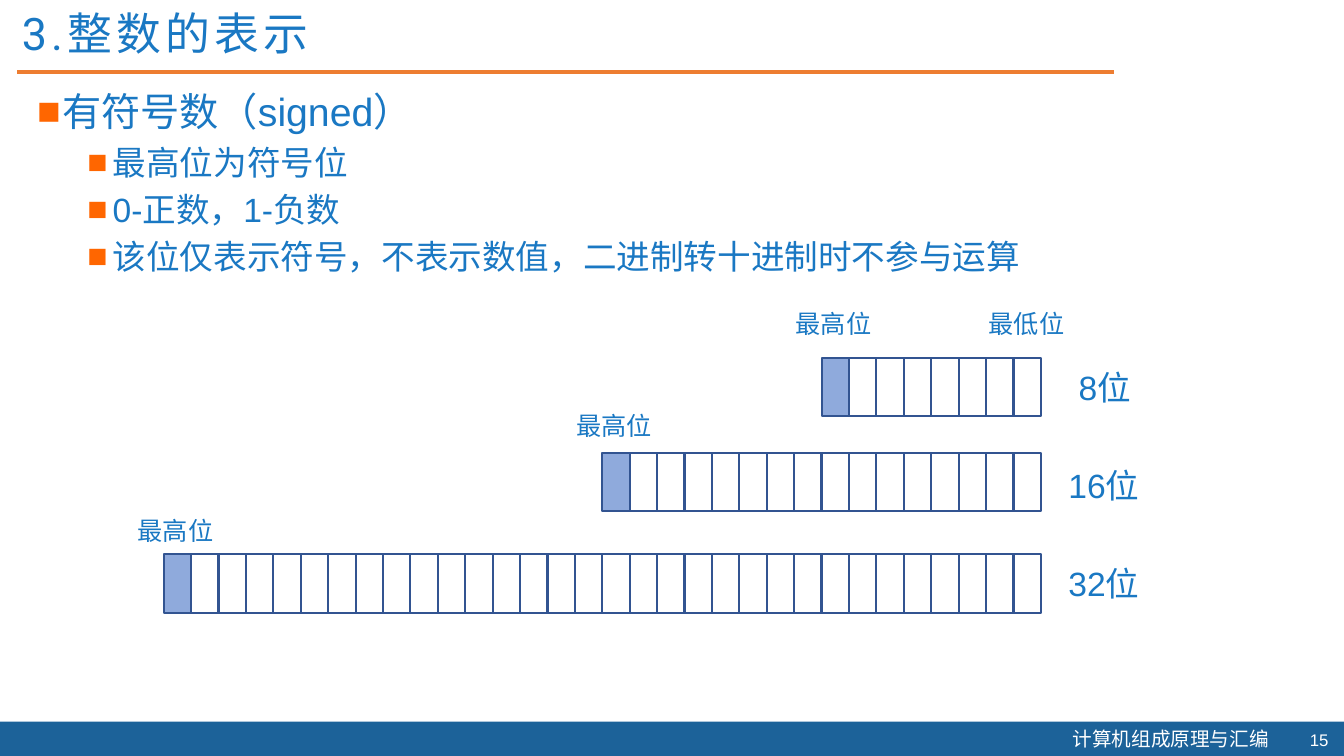
from pptx import Presentation
from pptx.dml.color import RGBColor
from pptx.enum.shapes import MSO_CONNECTOR, MSO_SHAPE
from pptx.enum.text import MSO_ANCHOR, PP_ALIGN
from pptx.oxml.ns import qn
from pptx.util import Pt
from lxml.etree import SubElement

BLUE, ORANGE, BULLET = "1A78C3", "ED7D31", "FF6600"
BAR, SIGN_BIT, OUTLINE, WHITE = "1C6299", "8FAADC", "325491", "FFFFFF"
BIT_WIDTH, BIT_HEIGHT = 19.58, 41.8


def color(hex_string):
    return RGBColor.from_string(hex_string)


def style(paragraph, size, font_name="Arial", font_color=BLUE):
    paragraph.font.size = Pt(size)
    paragraph.font.name = font_name
    paragraph.font.color.rgb = color(font_color)


def add_frame(slide, left, top, width, height):
    frame = slide.shapes.add_textbox(Pt(left), Pt(top), Pt(width), Pt(height)).text_frame
    frame.word_wrap = True
    return frame


def add_label(slide, box, text, size, font_name="Arial", font_color=BLUE):
    frame = add_frame(slide, *box)
    label = frame.paragraphs[0]
    label.text = text
    style(label, size, font_name, font_color)
    return frame


def add_rect(slide, left, top, width, height, fill=None, line=None):
    rect = slide.shapes.add_shape(
        MSO_SHAPE.RECTANGLE, Pt(left), Pt(top), Pt(width), Pt(height))
    rect.shadow.inherit = False
    if fill:
        rect.fill.solid()
        rect.fill.fore_color.rgb = color(fill)
    else:
        rect.fill.background()
    if line:
        rect.line.color.rgb = color(line)
        rect.line.width = Pt(1.5)
    else:
        rect.line.fill.background()


def add_footer(slide, left, top, width, height):
    add_rect(slide, left, top, width, height, fill=BAR)
    right = left + width
    add_label(slide, (right - 201, top, 157, height), "计算机组成原理与汇编",
              14, "Noto Sans CJK SC", WHITE)
    page = add_label(slide, (right - 40, top + 2, 36, 21.6), "15", 12, font_color=WHITE)
    page.vertical_anchor = MSO_ANCHOR.MIDDLE
    page.paragraphs[0].alignment = PP_ALIGN.RIGHT


def add_title(slide, left, top, width, height):
    heading = add_label(slide, (left, top, width, height), "3.整数的表示",
                        32, "Roboto").paragraphs[0]
    heading.line_spacing = 0.9
    heading._p.pPr.find(qn("a:defRPr")).set("spc", "300")
    # Rule below the title
    rule_y = top + 46.2
    rule = slide.shapes.add_connector(
        MSO_CONNECTOR.STRAIGHT, Pt(left + 4), Pt(rule_y), Pt(left + 787), Pt(rule_y))
    rule.line.color.rgb = color(ORANGE)
    rule.line.width = Pt(3)
    SubElement(rule._element.spPr, qn("a:effectLst"))


def add_bullets(slide, left, top, width, height):
    points = [
        (0, "有符号数（signed）"),
        (1, "最高位为符号位"),
        (1, "0-正数，1-负数"),
        (1, "该位仅表示符号，不表示数值，二进制转十进制时不参与运算"),
    ]
    frame = add_frame(slide, left, top, width, height)
    for index, (level, text) in enumerate(points):
        point = frame.paragraphs[0] if index == 0 else frame.add_paragraph()
        point.text = text
        point.level = level
        if index:
            point.space_before = Pt(5)
        properties = point._p.get_or_add_pPr()
        properties.set("marL", str(Pt(18 + 36 * level)))
        properties.set("indent", str(Pt(-18)))
        bullet_color = SubElement(properties, qn("a:buClr"))
        SubElement(bullet_color, qn("a:srgbClr")).set("val", BULLET)
        SubElement(properties, qn("a:buFont")).set("typeface", "Arial")
        SubElement(properties, qn("a:buChar")).set("char", "■")
        style(point, 28 - 4 * level)


def add_bit_row(slide, right, top, bits, sign_gap, size_box):
    left = right - bits * BIT_WIDTH
    for bit in range(bits):
        add_rect(slide, left + bit * BIT_WIDTH, top, BIT_WIDTH, BIT_HEIGHT,
                 fill=None if bit else SIGN_BIT, line=OUTLINE)
    add_label(slide, (left - 25.6, top - sign_gap, 69.2, 29), "最高位", 18)
    # Size to the right of the row
    size_left, size_top, size_width = size_box
    add_label(slide, (right + size_left, top + size_top, size_width, 36), f"{bits}位", 24)


def add_bit_diagram(slide, right, top):
    add_bit_row(slide, right, top, 8, 38.9, (19.8, 2.9, 52.5))
    add_bit_row(slide, right, top + 67.7, 16, 33.8, (12.6, 5, 65.5))
    add_bit_row(slide, right, top + 140.4, 32, 31.7, (12.6, 2.9, 65.5))
    add_label(slide, (right - 44.3, top - 38.9, 69.2, 29), "最低位", 18)


def main():
    deck = Presentation()
    deck.slide_width, deck.slide_height = Pt(960), Pt(540)
    slide = deck.slides.add_slide(deck.slide_layouts[6])
    add_footer(slide, 0, 515.5, 960, 24.5)
    add_title(slide, 8.5, 5, 767, 34.6)
    add_bullets(slide, 19.4, 59, 850, 445)
    add_bit_diagram(slide, 743.5, 255.6)
    deck.save("out.pptx")


if __name__ == "__main__":
    main()
